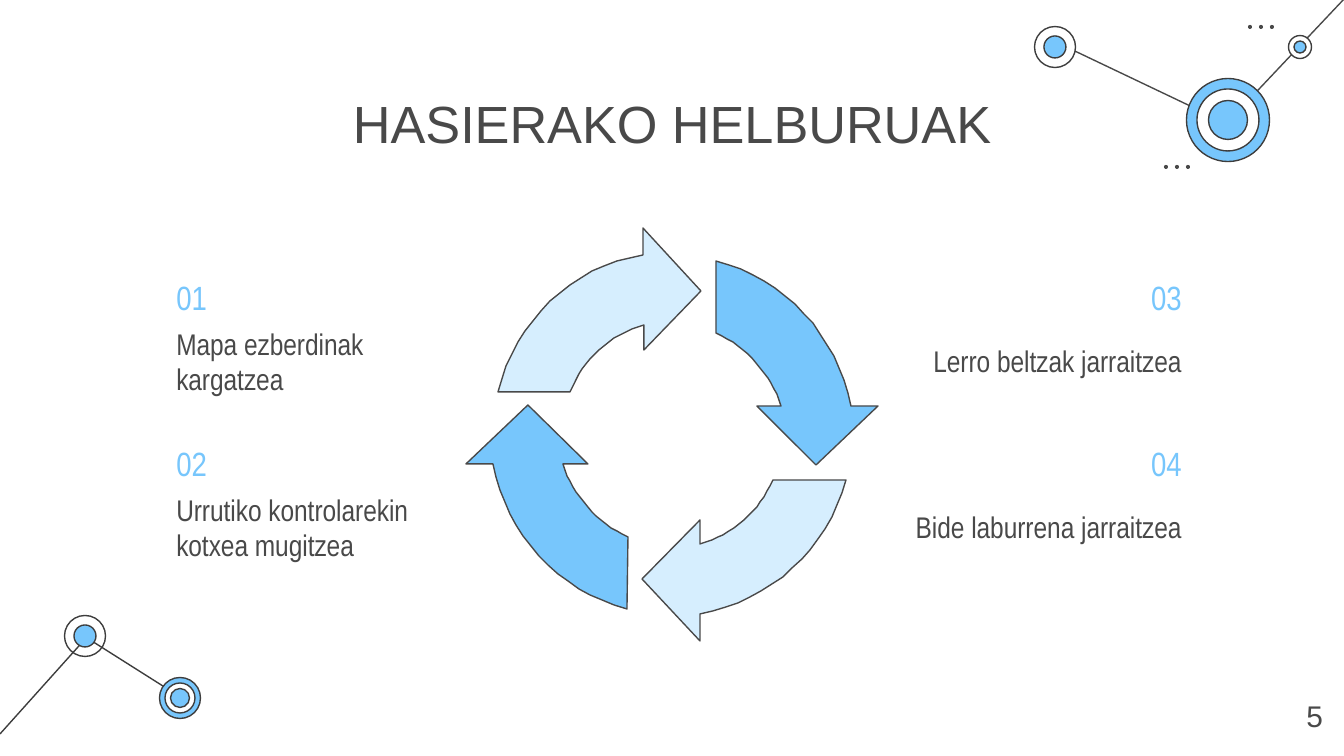
"""Build the slide of starting goals: four numbered goals around a cycle of arrows."""
import pptx
import pptx.dml.color
import pptx.enum.shapes
import pptx.enum.text
import pptx.oxml
import pptx.oxml.ns
import pptx.util

ALIGN = pptx.enum.text.PP_ALIGN
ANCHOR = pptx.enum.text.MSO_ANCHOR
OVAL = pptx.enum.shapes.MSO_SHAPE.OVAL
STRAIGHT = pptx.enum.shapes.MSO_CONNECTOR.STRAIGHT
SCALE = 914400 / 134.4
WIDTH, HEIGHT = 1344, 756
CURVE_STEPS = 16
COLORS = {"text": "494949", "outline": "3D3D3D", "blue": "77C6FC", "pale": "D6EEFE", "white": "FFFFFF"}

TITLE = "HASIERAKO HELBURUAK"
PAGE_NUMBER = "5"
GOAL_COLUMNS = [
    (163, ALIGN.LEFT, [("01", "Mapa ezberdinak kargatzea"), ("02", "Urrutiko kontrolarekin kotxea mugitzea")]),
    (900, ALIGN.RIGHT, [("03", "Lerro beltzak jarraitzea"), ("04", "Bide laburrena jarraitzea")]),
]
GOAL_ROWS = [(270, ANCHOR.MIDDLE, 316), (429, ANCHOR.TOP, 482)]

LINKS = [
    ("outline", (87, 638), (185, 700)),
    ("outline", (0, 734), (87, 637)),
    ("text", (1228, 124), (1058, 43)),
    ("text", (1344, -1), (1228, 122)),
]
NODES = [
    ((85, 636), [(42, None), (23, "blue")]),
    ((180, 698), [(42, "blue"), (31, "white"), (20, "blue")]),
    ((1228, 120), [(84, "blue"), (63, "white"), (40, "blue")]),
    ((1055, 47), [(42, "white"), (23, "blue")]),
    ((1300, 47), [(24, "white"), (13, "blue")]),
]
DOT_ROWS = [(1250, 27), (1166, 167)]
DOT_SIZE, DOT_GAP = 4, 11

# Each step is a point, or two control points and an end point.
ARROWS = [
    ("blue", [(716, 261), (716, 333), ((747, 347), (771, 374), (781, 406)), (757, 406), (816, 465),
              (878, 406), (851, 406), ((837, 336), (785, 278), (716, 261))]),
    ("blue", [(528, 405), (466, 464), (493, 464), ((507, 534), (558, 591), (627, 609)), (628, 537),
              ((597, 523), (573, 496), (563, 464)), (588, 464)]),
    ("pale", [(773, 480), ((759, 511), (733, 535), (700, 544)), (700, 520), (642, 579), (700, 641),
              (700, 614), ((770, 601), (828, 550), (846, 480))]),
    ("pale", [(643, 228), (643, 255), ((571, 267), (516, 321), (498, 392)), (570, 392),
              ((583, 359), (610, 335), (644, 325)), (644, 350), (701, 291)]),
]


def px(value):
    return pptx.util.Emu(round(value * SCALE))


def color(name):
    return pptx.dml.color.RGBColor.from_string(COLORS[name])


def style_shape(shape, fill, line=None):
    shape.shadow.inherit = False
    if fill:
        shape.fill.solid()
        shape.fill.fore_color.rgb = color(fill)
    else:
        shape.fill.background()
    if line:
        shape.line.color.rgb = color(line)
        shape.line.width = pptx.util.Pt(0.75)
    else:
        shape.line.fill.background()


def add_circle(slide, center, diameter, fill, line=None):
    left, top = (value - diameter / 2 for value in center)
    shape = slide.shapes.add_shape(OVAL, px(left), px(top), px(diameter), px(diameter))
    style_shape(shape, fill, line)


def add_link(slide, line, start, end):
    connector = slide.shapes.add_connector(STRAIGHT, *map(px, start + end))
    connector.line.color.rgb = color(line)
    connector.line.width = pptx.util.Pt(0.75)
    properties = connector._element.spPr
    properties.append(pptx.oxml.parse_xml(f"<a:effectLst {pptx.oxml.ns.nsdecls('a')}/>"))


def bezier_points(*controls):
    for step in range(1, CURVE_STEPS + 1):
        t = step / CURVE_STEPS
        weights = ((1 - t) ** 3, 3 * t * (1 - t) ** 2, 3 * t ** 2 * (1 - t), t ** 3)
        yield tuple(sum(w * point[axis] for w, point in zip(weights, controls)) for axis in (0, 1))


def add_arrow(slide, fill, steps):
    points = [steps[0]]
    for step in steps[1:]:
        points.extend(bezier_points(points[-1], *step) if len(step) == 3 else [step])
    builder = slide.shapes.build_freeform(*points[0], scale=SCALE)
    builder.add_line_segments(points[1:], close=True)
    style_shape(builder.convert_to_shape(), fill, "text")


def add_text(slide, text, box, size, font, fill, align, anchor):
    frame = slide.shapes.add_textbox(*map(px, box)).text_frame
    frame.word_wrap = True
    frame.vertical_anchor = anchor
    frame.margin_left = frame.margin_right = frame.margin_top = frame.margin_bottom = pptx.util.Inches(0.1)
    paragraph = frame.paragraphs[0]
    paragraph.text = text
    paragraph.alignment = align
    paragraph.font.size = pptx.util.Pt(size)
    paragraph.font.name = font
    paragraph.font.color.rgb = color(fill)


def main():
    presentation = pptx.Presentation()
    presentation.slide_width, presentation.slide_height = px(WIDTH), px(HEIGHT)
    slide = presentation.slides.add_slide(presentation.slide_layouts[6])
    for link in LINKS:
        add_link(slide, *link)
    for center, rings in NODES:
        for diameter, fill in rings:
            add_circle(slide, center, diameter - 1, fill, "outline")
    for x, y in DOT_ROWS:
        for index in range(3):
            add_circle(slide, (x + index * DOT_GAP, y), DOT_SIZE, "text")
    add_text(slide, TITLE, (106, 78, 1132, 85), 28, "Arial", "text", ALIGN.CENTER, ANCHOR.TOP)
    for arrow in ARROWS:
        add_arrow(slide, *arrow)
    for left, align, goals in GOAL_COLUMNS:
        for (number, goal), (number_top, anchor, goal_top) in zip(goals, GOAL_ROWS):
            add_text(slide, number, (left, number_top, 295, 54), 18, "Arial Narrow", "blue", align, anchor)
            add_text(slide, goal, (left, goal_top, 295, 90), 16, "Arial Narrow", "text", align, ANCHOR.MIDDLE)
    add_text(slide, PAGE_NUMBER, (1262, 677, 74, 70), 16, "Arial", "text", ALIGN.RIGHT, ANCHOR.BOTTOM)
    presentation.save("out.pptx")


if __name__ == "__main__":
    main()
